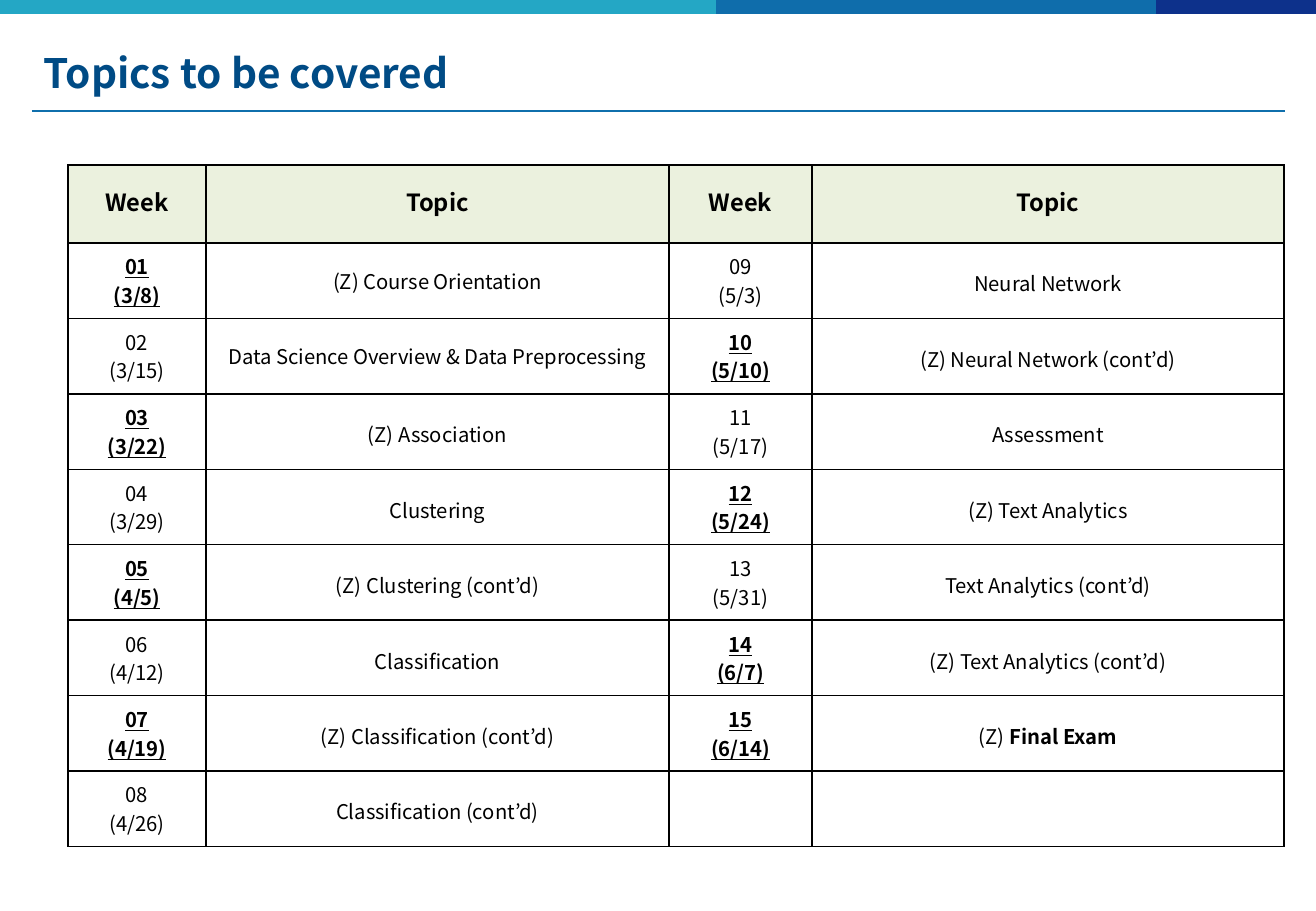
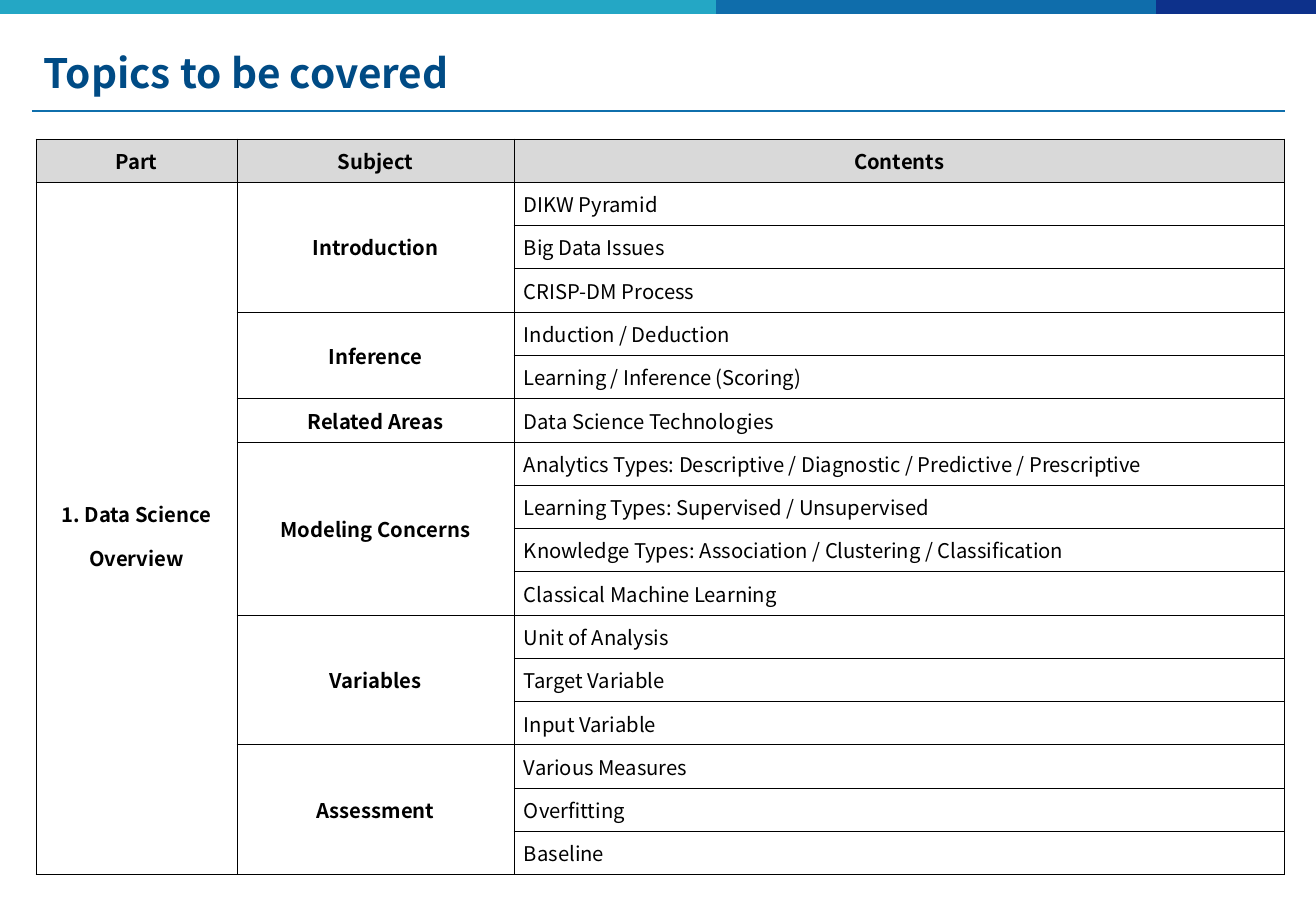
from dataclasses import dataclass

from lxml import etree
from pptx import Presentation
from pptx.dml.color import RGBColor
from pptx.enum.shapes import MSO_CONNECTOR, MSO_SHAPE
from pptx.enum.text import MSO_ANCHOR, PP_ALIGN
from pptx.oxml.ns import qn
from pptx.util import Inches, Pt

LEFT, CENTER = PP_ALIGN.LEFT, PP_ALIGN.CENTER
MIDDLE = MSO_ANCHOR.MIDDLE
RECTANGLE = MSO_SHAPE.RECTANGLE
STRAIGHT = MSO_CONNECTOR.STRAIGHT
BLANK_LAYOUT = 6
EMU_PER_PIXEL = 914400 / 121.5


@dataclass(frozen=True)
class Theme:
    """Colours, font and type sizes shared by the slides."""
    font: str = "Noto Sans CJK KR"
    title: str = "004B85"
    text: str = "000000"
    rule: str = "0F6FAC"
    bands: tuple = ("24A7C5", "0F6DAB", "0D318B")
    schedule_header: str = "EBF1DE"
    syllabus_header: str = "D9D9D9"
    title_size: int = 24
    header_size: int = 14
    body_size: int = 12


THEME = Theme()
TITLE = "Topics to be covered"
BANDS = ((-1, 718), (716, 440), (1156, 160))
FIXED_SPACING = Pt(17)
LOOSE_SPACING = 1.16

WEEKS = [
    ("3/8", "(Z) Course Orientation"),
    ("3/15", "Data Science Overview & Data Preprocessing"),
    ("3/22", "(Z) Association"),
    ("3/29", "Clustering"),
    ("4/5", "(Z) Clustering (cont’d)"),
    ("4/12", "Classification"),
    ("4/19", "(Z) Classification (cont’d)"),
    ("4/26", "Classification (cont’d)"),
    ("5/3", "Neural Network"),
    ("5/10", "(Z) Neural Network (cont’d)"),
    ("5/17", "Assessment"),
    ("5/24", "(Z) Text Analytics"),
    ("5/31", "Text Analytics (cont’d)"),
    ("6/7", "(Z) Text Analytics (cont’d)"),
    ("6/14", "(Z) "),
]
FINAL_TOPIC = "Final Exam"
WEEKS_PER_COLUMN = 8
ORIENTATION_WEEKS = 2

PART = "1. Data Science\nOverview"
SUBJECTS = {
    "Introduction": ["DIKW Pyramid", "Big Data Issues", "CRISP-DM Process"],
    "Inference": ["Induction / Deduction", "Learning / Inference (Scoring)"],
    "Related Areas": ["Data Science Technologies"],
    "Modeling Concerns": [
        "Analytics Types: Descriptive / Diagnostic / Predictive / Prescriptive",
        "Learning Types: Supervised / Unsupervised",
        "Knowledge Types: Association / Clustering / Classification",
        "Classical Machine Learning",
    ],
    "Variables": ["Unit of Analysis", "Target Variable", "Input Variable"],
    "Assessment": ["Various Measures", "Overfitting", "Baseline"],
}


def px(pixels):
    """Turn pixels into EMU."""
    return round(pixels * EMU_PER_PIXEL)


def style_run(run, size, color=THEME.text, bold=False, underline=False):
    """Apply the theme font to a run."""
    font = run.font
    font.name = THEME.font
    font.size = Pt(size)
    font.bold = bold
    font.underline = underline
    font.color.rgb = RGBColor.from_string(color)


def write_cell(cell, text, size=THEME.body_size, bold=False, underline=False,
               align=CENTER, spacing=None):
    """Fill a cell with styled paragraphs."""
    cell.text_frame.text = text
    for paragraph in cell.text_frame.paragraphs:
        paragraph.alignment = align
        if spacing:
            paragraph.line_spacing = spacing
        for run in paragraph.runs:
            style_run(run, size, bold=bold, underline=underline)


def add_borders(cell, width):
    """Draw the four borders of a cell."""
    properties = cell._tc.get_or_add_tcPr()
    for side in ("lnL", "lnR", "lnT", "lnB"):
        line = etree.SubElement(properties, qn(f"a:{side}"), w=str(Pt(width)))
        fill = etree.SubElement(line, qn("a:solidFill"))
        etree.SubElement(fill, qn("a:srgbClr"), val=THEME.text)


def add_grid(slide, box, columns, row_count, header_height, header_fill,
             border, side_margin):
    """Add a plain bordered table with a header and equal body rows."""
    left, top, width, height = map(px, box)
    table = slide.shapes.add_table(
        row_count, len(columns), left, top, width, height).table
    table.first_row = table.horz_banding = False
    for column, column_width in zip(table.columns, columns):
        column.width = px(column_width)
    body_height = (box[3] - header_height) / (row_count - 1)
    for index, row in enumerate(table.rows):
        row.height = px(body_height if index else header_height)
        for cell in row.cells:
            add_borders(cell, border)
            cell.vertical_anchor = MIDDLE
            cell.margin_left = cell.margin_right = px(side_margin)
            cell.margin_top = cell.margin_bottom = 0
            if index:
                cell.fill.background()
            else:
                cell.fill.solid()
                cell.fill.fore_color.rgb = RGBColor.from_string(header_fill)
    return table


def add_frame(slide, box):
    """Add the top bands, the title and the rule under it."""
    left, top, width, height = box
    for (band_left, band_width), color in zip(BANDS, THEME.bands):
        band = slide.shapes.add_shape(
            RECTANGLE, px(band_left), 0, px(band_width), px(14))
        band.shadow.inherit = False
        band.fill.solid()
        band.fill.fore_color.rgb = RGBColor.from_string(color)
        band.line.fill.background()

    rule_y = px(top + height)
    rule = slide.shapes.add_connector(
        STRAIGHT, px(left), rule_y, px(left + width), rule_y)
    rule.line.color.rgb = RGBColor.from_string(THEME.rule)
    rule.line.width = Pt(1)
    etree.SubElement(rule._element.spPr, qn("a:effectLst"))

    title = slide.shapes.add_textbox(*map(px, box)).text_frame
    title.word_wrap = True
    title.vertical_anchor = MIDDLE
    title.text = TITLE
    style_run(title.paragraphs[0].runs[0], THEME.title_size, THEME.title, True)


def add_schedule(slide, box):
    """Add the weekly schedule in two side-by-side halves."""
    table = add_grid(slide, box, (138, 463, 143, 472), WEEKS_PER_COLUMN + 1,
                     78, THEME.schedule_header, border=1, side_margin=9)
    for column, heading in enumerate(("Week", "Topic") * 2):
        write_cell(table.cell(0, column), heading, THEME.header_size, True,
                   spacing=FIXED_SPACING)
    for index, (date, topic) in enumerate(WEEKS):
        half, row = divmod(index, WEEKS_PER_COLUMN)
        marked = topic.startswith("(Z)")
        write_cell(table.cell(row + 1, 2 * half), f"{index + 1:02}\n({date})",
                   bold=marked, underline=marked, spacing=FIXED_SPACING)
        topic_cell = table.cell(row + 1, 2 * half + 1)
        early = index < ORIENTATION_WEEKS
        write_cell(topic_cell, topic,
                   spacing=FIXED_SPACING if early else LOOSE_SPACING)
    final_run = topic_cell.text_frame.paragraphs[0].add_run()
    final_run.text = FINAL_TOPIC
    style_run(final_run, THEME.body_size, bold=True)


def add_syllabus(slide, box):
    """Add the part, subject and contents table with merged groups."""
    row_count = 1 + sum(map(len, SUBJECTS.values()))
    table = add_grid(slide, box, (201, 277, 770), row_count,
                     box[3] / row_count, THEME.syllabus_header,
                     border=0.5, side_margin=1)
    for column, heading in enumerate(("Part", "Subject", "Contents")):
        write_cell(table.cell(0, column), heading, bold=True)
    table.cell(1, 0).merge(table.cell(row_count - 1, 0))
    write_cell(table.cell(1, 0), PART, bold=True, spacing=1.5)
    row = 1
    for subject, contents in SUBJECTS.items():
        subject_cell = table.cell(row, 1)
        if len(contents) > 1:
            subject_cell.merge(table.cell(row + len(contents) - 1, 1))
        write_cell(subject_cell, subject, bold=True)
        for content in contents:
            content_cell = table.cell(row, 2)
            content_cell.margin_left = px(10)
            write_cell(content_cell, content, align=LEFT)
            row += 1


def main():
    """Build and save the presentation."""
    presentation = Presentation()
    presentation.slide_width = Inches(10.83)
    presentation.slide_height = Inches(7.5)
    regions = ((add_schedule, (68, 165, 1216, 682)),
               (add_syllabus, (36, 139, 1248, 736)))
    for add_region, box in regions:
        slide = presentation.slides.add_slide(
            presentation.slide_layouts[BLANK_LAYOUT])
        add_frame(slide, (32, 33, 1253, 78))
        add_region(slide, box)
    presentation.save("out.pptx")


main()
